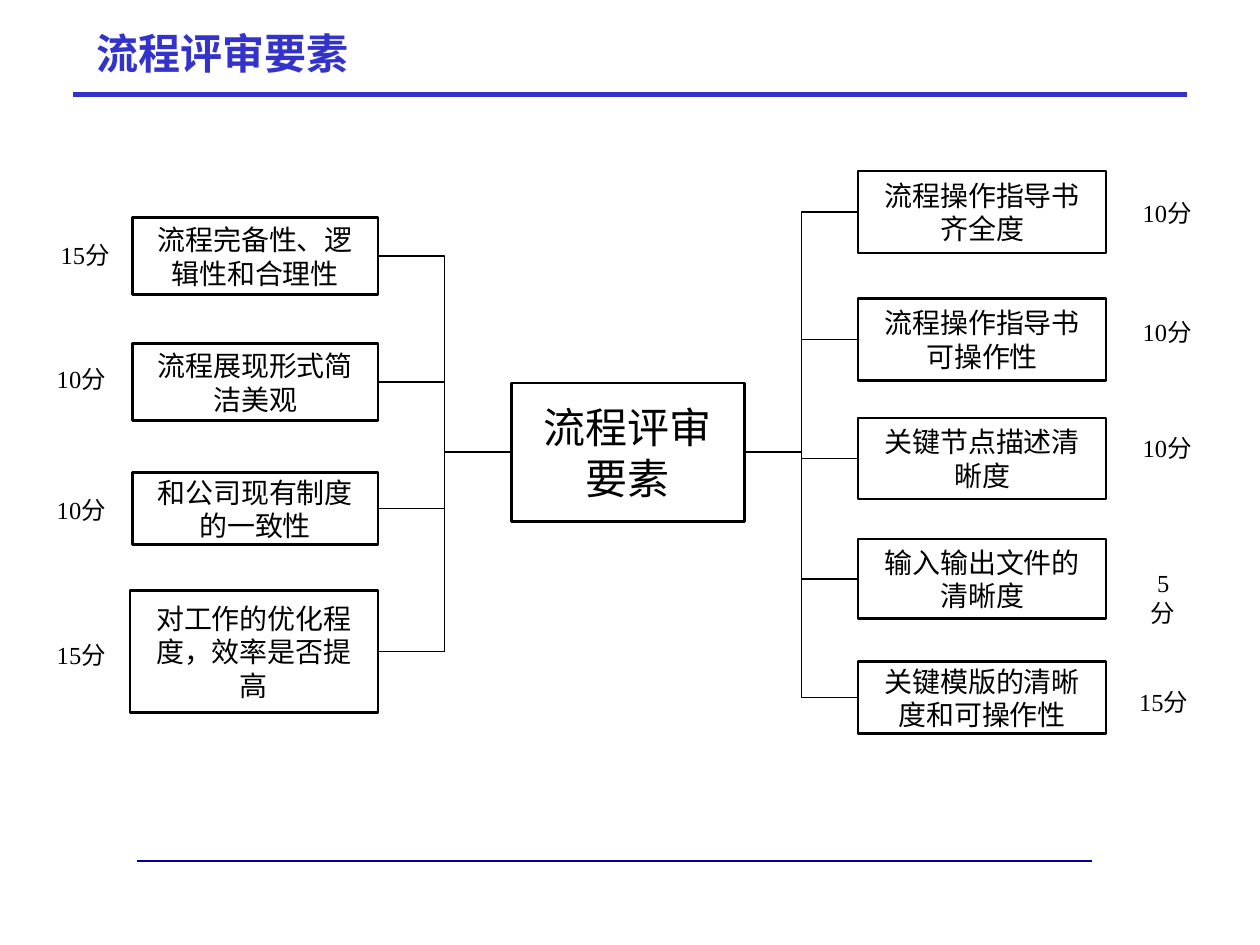
from lxml import etree
from pptx import Presentation
from pptx.dml.color import RGBColor
from pptx.enum.shapes import MSO_CONNECTOR, MSO_SHAPE
from pptx.enum.text import MSO_ANCHOR, PP_ALIGN
from pptx.oxml.ns import qn
from pptx.util import Cm, Pt

RECTANGLE = MSO_SHAPE.RECTANGLE
STRAIGHT, ELBOW = MSO_CONNECTOR.STRAIGHT, MSO_CONNECTOR.ELBOW
TOP, MIDDLE = MSO_ANCHOR.TOP, MSO_ANCHOR.MIDDLE
LEFT, CENTER = PP_ALIGN.LEFT, PP_ALIGN.CENTER
LEFT_SIDE, RIGHT_SIDE = 1, 3  # connection sites of a rectangle

TITLE_BLUE, RULE_BLUE, BLACK = "3333CC", "000099", "000000"
BODY_FONT, TITLE_FONT = "Times New Roman", "Arial"
TITLE = "流程评审要素"

# Text, box (left, top, width, height), score, score (left, top, width);
# places are in cm from the corner of the branch.
LEFT_BRANCH = [
    ("流程完备性、逻辑性和合理性", (1.78, 0, 4.95, 1.55), "15分", (0.08, 0.33, 1.5)),
    ("流程展现形式简洁美观", (1.78, 2.54, 4.95, 1.55), "10分", (0, 2.82, 1.5)),
    ("和公司现有制度的一致性", (1.78, 5.14, 4.95, 1.45), "10分", (0, 5.47, 1.5)),
    ("对工作的优化程度，效率是否提高", (1.73, 7.52, 5, 2.46), "15分", (0, 8.39, 1.5)),
]
RIGHT_BRANCH = [
    ("流程操作指导书齐全度", (0, 0, 5, 1.65), "10分", (5.48, 0.41, 1.5)),
    ("流程操作指导书可操作性", (0, 2.57, 5, 1.65), "10分", (5.48, 2.82, 1.5)),
    ("关键节点描述清晰度", (0, 4.98, 5, 1.63), "10分", (5.48, 5.16, 1.5)),
    ("输入输出文件的清晰度", (0, 7.42, 5, 1.6), "5分", (5.53, 7.88, 1.24)),
    ("关键模版的清晰度和可操作性", (0, 9.89, 5, 1.45), "15分", (5.41, 10.27, 1.5)),
]


def color(value):
    return RGBColor.from_string(value)


def write(shape, text, size, font=BODY_FONT, fill=BLACK, bold=False,
          align=CENTER, anchor=MIDDLE):
    frame = shape.text_frame
    frame.word_wrap = True
    frame.vertical_anchor = anchor
    paragraph = frame.paragraphs[0]
    paragraph.alignment = align
    run = paragraph.add_run()
    run.text = text
    run.font.name = font
    run.font.size = Pt(size)
    run.font.bold = bold
    run.font.color.rgb = color(fill)


def add_line(slide, kind, start, end, line_color, width):
    line = slide.shapes.add_connector(kind, *map(Cm, start + end))
    line.line.color.rgb = color(line_color)
    line.line.width = Pt(width)
    etree.SubElement(line._element.spPr, qn("a:effectLst"))
    return line


def add_box(slide, text, left, top, width, height, size):
    box = slide.shapes.add_shape(RECTANGLE, Cm(left), Cm(top), Cm(width), Cm(height))
    box.shadow.inherit = False
    box.fill.background()
    box.line.color.rgb = color(BLACK)
    box.line.width = Pt(1.5)
    write(box, text, size)
    return box


def add_score(slide, text, left, top, width):
    score = slide.shapes.add_textbox(Cm(left), Cm(top), Cm(width), Cm(0.84))
    write(score, text, 14, anchor=TOP)


def add_header(slide, left, top, width, height):
    title = slide.shapes.title
    title.left, title.top, title.width, title.height = map(Cm, (left, top, width, height))
    write(title, TITLE, 24, TITLE_FONT, TITLE_BLUE, True, LEFT)
    rule_top = top + height + 0.2
    add_line(slide, STRAIGHT, (1.47, rule_top), (23.93, rule_top), TITLE_BLUE, 3)


def add_branch(slide, rows, left, top, center, center_side, box_side):
    """Place the criteria with their scores and join each one to the centre."""
    for text, (x, y, width, height), score, (score_x, score_y, score_width) in rows:
        box = add_box(slide, text, left + x, top + y, width, height, 16)
        add_score(slide, score, left + score_x, top + score_y, score_width)
        link = add_line(slide, ELBOW, (0, 0), (1, 1), BLACK, 0.75)
        link.begin_connect(center, center_side)
        link.end_connect(box, box_side)


def main():
    presentation = Presentation()
    presentation.slide_width, presentation.slide_height = Cm(25.4), Cm(19.05)
    slide = presentation.slides.add_slide(presentation.slide_layouts[5])
    add_header(slide, 1.7, 0.43, 12.4, 1.27)
    add_line(slide, STRAIGHT, (2.77, 17.35), (22.02, 17.35), RULE_BLUE, 1)
    center = add_box(slide, TITLE, 10.31, 7.72, 4.7, 2.79, 24)
    add_branch(slide, LEFT_BRANCH, 0.89, 4.39, center, LEFT_SIDE, RIGHT_SIDE)
    add_branch(slide, RIGHT_BRANCH, 17.3, 3.45, center, RIGHT_SIDE, LEFT_SIDE)
    presentation.save("out.pptx")


if __name__ == "__main__":
    main()
